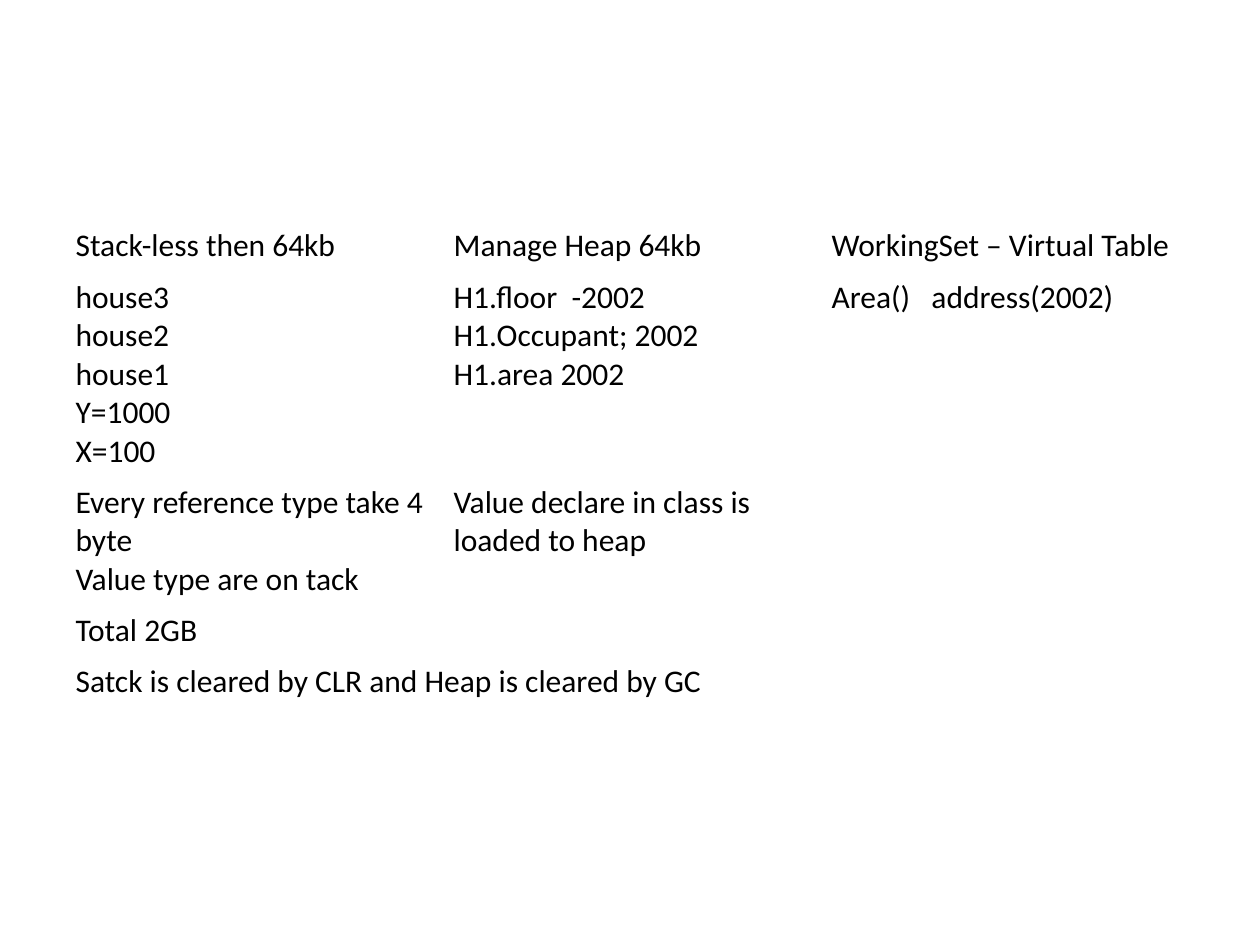
"""Build a slide with a table on stack and heap memory."""
from pptx import Presentation
from pptx import util as u
from pptx.dml.color import RGBColor

HUES = {"ink": "000000"}
FONT = "Calibri"
ROWS = [
    ["Stack-less then 64kb", "Manage Heap 64kb", "WorkingSet – Virtual Table"],
    [
        "house3\nhouse2\nhouse1\nY=1000\nX=100",
        "H1.floor  -2002\nH1.Occupant; 2002\nH1.area 2002",
        "Area()   address(2002)",
    ],
    [
        "Every reference type take 4 byte\nValue type are on tack",
        "Value declare in class is loaded to heap",
        "",
    ],
    ["Total 2GB"],
    ["Satck is cleared by CLR and Heap is cleared by GC"],
]
COLS = 3


def fill_cell(cell, words):
    cell.text_frame.text = words
    for para in cell.text_frame.paragraphs:
        for run in para.runs:
            run.font.name = FONT
            run.font.size = u.Pt(18)
            run.font.bold = False
            run.font.color.rgb = RGBColor.from_string(HUES["ink"])


def add_grid(slide, rows):
    high = u.Inches(0.41)
    frame = slide.shapes.add_table(
        len(rows), COLS, u.Inches(0.5), u.Inches(1.75), u.Inches(9), high * len(rows)
    )
    grid = frame.table
    grid.first_row = False
    grid.horz_banding = False
    for cell in grid.iter_cells():
        cell.fill.background()
    for r, row in enumerate(rows):
        grid.rows[r].height = high
        if len(row) == 1:
            grid.cell(r, 0).merge(grid.cell(r, COLS - 1))
        for c, words in enumerate(row):
            fill_cell(grid.cell(r, c), words)


def main():
    deck = Presentation()
    deck.slide_width = u.Inches(10)
    deck.slide_height = u.Inches(7.5)
    slide = deck.slides.add_slide(deck.slide_layouts[6])
    add_grid(slide, ROWS)
    deck.save("out.pptx")


if __name__ == "__main__":
    main()
